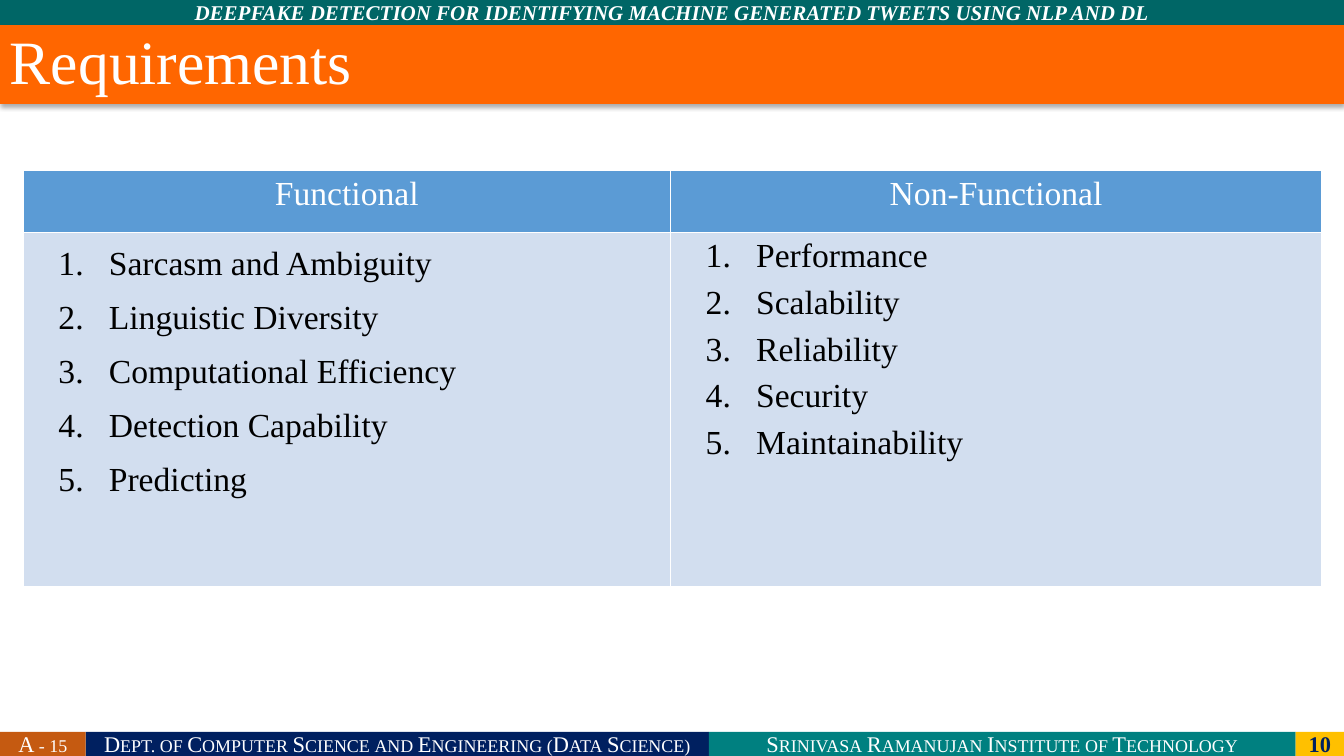
import lxml.etree
import pptx
import pptx.dml.color
import pptx.enum.shapes
import pptx.enum.text
import pptx.oxml
import pptx.oxml.ns
import pptx.util

PX = 9144  # 100 px to the inch
FONT = "Times New Roman"
WHITE, NAVY = "FFFFFF", "002060"
CENTER = pptx.enum.text.PP_ALIGN.CENTER
LEFT = pptx.enum.text.PP_ALIGN.LEFT
NAMESPACE = pptx.oxml.ns.nsdecls("a")
qn = pptx.oxml.ns.qn


def color(value):
    return pptx.dml.color.RGBColor.from_string(value)


def add_text(paragraph, text, size, text_color, align=LEFT):
    paragraph.alignment = align
    run = paragraph.add_run()
    run.text = text
    run.font.name = FONT
    run.font.size = pptx.util.Pt(size)
    run.font.color.rgb = color(text_color)
    return run


presentation = pptx.Presentation()
presentation.slide_width = 1333 * PX
presentation.slide_height = 750 * PX
slide = presentation.slides.add_slide(presentation.slide_layouts[6])

# Footer, top strip and title bars: box, fill, text, size, text color, style
bars = [
    ((85, 726, 618, 24), NAVY,
     "Dept. of Computer Science and Engineering (Data Science)", 16, WHITE, "small caps"),
    ((703, 726, 582, 24), "008080",
     "Srinivasa Ramanujan Institute of Technology", 16, WHITE, "small caps"),
    ((1285, 726, 48, 24), "FFC000", "10", 16, NAVY, "bold"),
    ((0, 0, 1333, 25), "006666",
     "DEEPFAKE DETECTION FOR IDENTIFYING MACHINE GENERATED TWEETS USING NLP AND DL",
     15, WHITE, "bold italic"),
    ((0, 726, 85, 24), "C55A11", "A - 15", 16, WHITE, "small caps"),
    ((0, 25, 1333, 78), "FF6600", "Requirements", 44, WHITE, "title"),
]
for box, fill, text, size, text_color, style in bars:
    shape = slide.shapes.add_shape(
        pptx.enum.shapes.MSO_SHAPE.RECTANGLE, *(length * PX for length in box))
    shape.shadow.inherit = False
    shape.fill.solid()
    shape.fill.fore_color.rgb = color(fill)
    shape.line.fill.background()
    frame = shape.text_frame
    frame.word_wrap = True
    frame.vertical_anchor = pptx.enum.text.MSO_ANCHOR.MIDDLE
    paragraph = frame.paragraphs[0]
    run = add_text(paragraph, text, size, text_color, LEFT if style == "title" else CENTER)
    run.font.bold = "bold" in style
    run.font.italic = "italic" in style
    if style == "small caps":
        run.font._element.set("cap", "small")
    if style == "title":
        paragraph.line_spacing = 0.9
        effects = shape._element.spPr.find(qn("a:effectLst"))
        effects.append(pptx.oxml.parse_xml(
            f'<a:outerShdw {NAMESPACE} blurRad="44450" dist="27940" dir="5400000" '
            'algn="ctr" rotWithShape="0"><a:srgbClr val="000000">'
            '<a:alpha val="32000"/></a:srgbClr></a:outerShdw>'))

# Requirements table: heading, line spacing, items
columns = [
    ("Functional", 1.2,
     ["Sarcasm and Ambiguity", "Linguistic Diversity", "Computational Efficiency",
      "Detection Capability", "Predicting"]),
    ("Non-Functional", 1.0,
     ["Performance", "Scalability", "Reliability", "Security", "Maintainability"]),
]
table = slide.shapes.add_table(2, 2, 23 * PX, 169 * PX, 1288 * PX, 413 * PX).table
for column, width in zip(table.columns, (642, 646)):
    column.width = width * PX
for row, height in zip(table.rows, (62, 351)):
    row.height = height * PX

for index, (heading, line_spacing, items) in enumerate(columns):
    header, body = table.cell(0, index), table.cell(1, index)
    add_text(header.text_frame.paragraphs[0], heading, 24, WHITE, CENTER).font.bold = False

    # Numbered list
    for number, item in enumerate(items):
        frame = body.text_frame
        paragraph = frame.add_paragraph() if number else frame.paragraphs[0]
        properties = paragraph._p.get_or_add_pPr()
        properties.set("marL", str(75 * PX))
        properties.set("indent", str(-50 * PX))
        bullet = lxml.etree.SubElement(properties, qn("a:buAutoNum"))
        bullet.set("type", "arabicPeriod")
        paragraph.line_spacing = line_spacing
        if number:
            paragraph.space_before = pptx.util.Pt(6.8)
        add_text(paragraph, item, 24, "000000")

    # Cell fills and white borders
    for cell, fill in ((header, "5B9BD5"), (body, "D2DEEF")):
        cell.fill.solid()
        cell.fill.fore_color.rgb = color(fill)
        for position, side in enumerate(("lnL", "lnR", "lnT", "lnB")):
            cell._tc.tcPr.insert(position, pptx.oxml.parse_xml(
                f'<a:{side} {NAMESPACE} w="12700"><a:solidFill>'
                f'<a:srgbClr val="{WHITE}"/></a:solidFill></a:{side}>'))

presentation.save("out.pptx")
